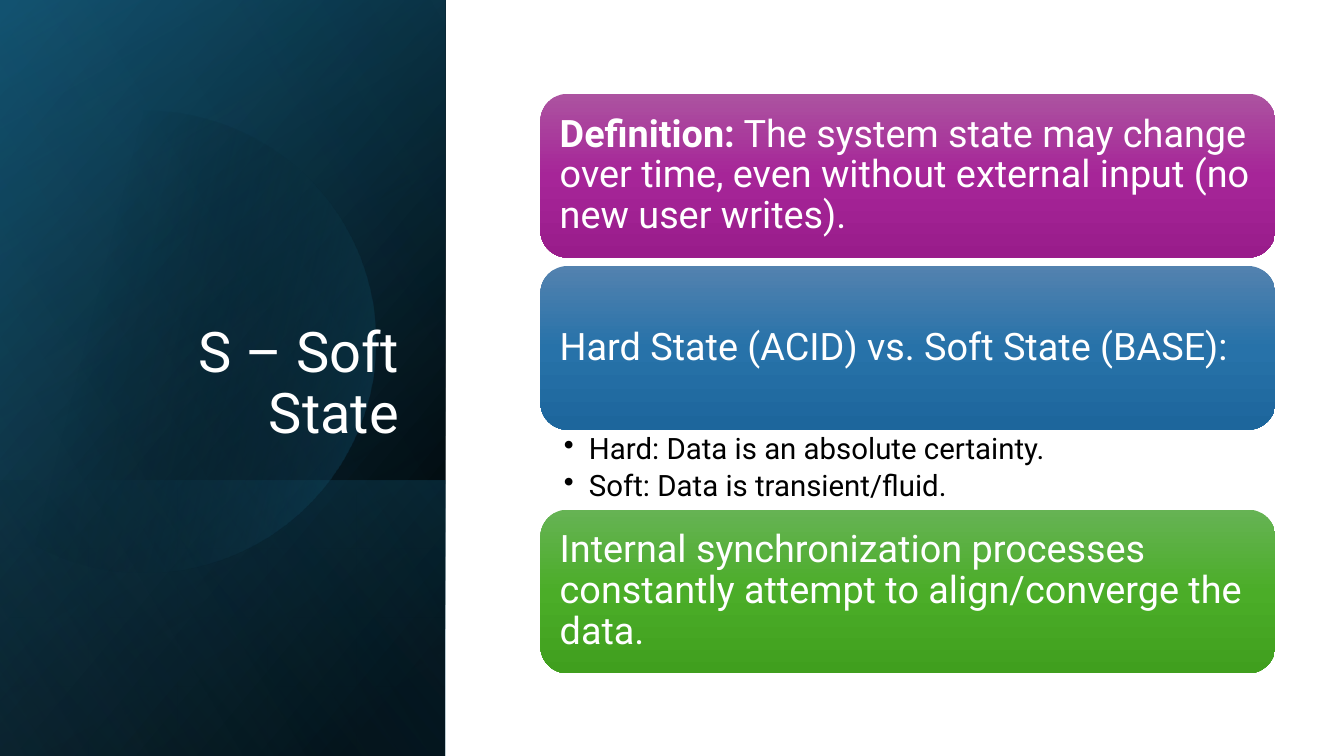
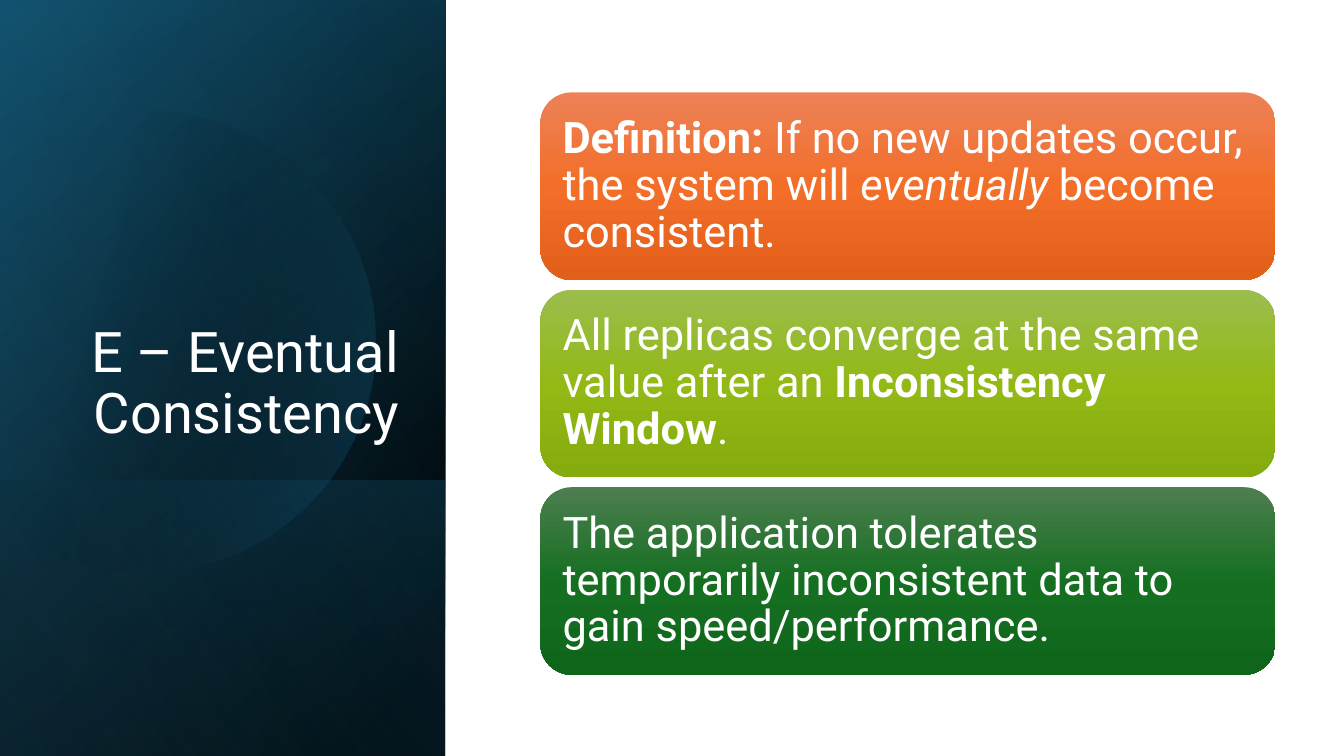
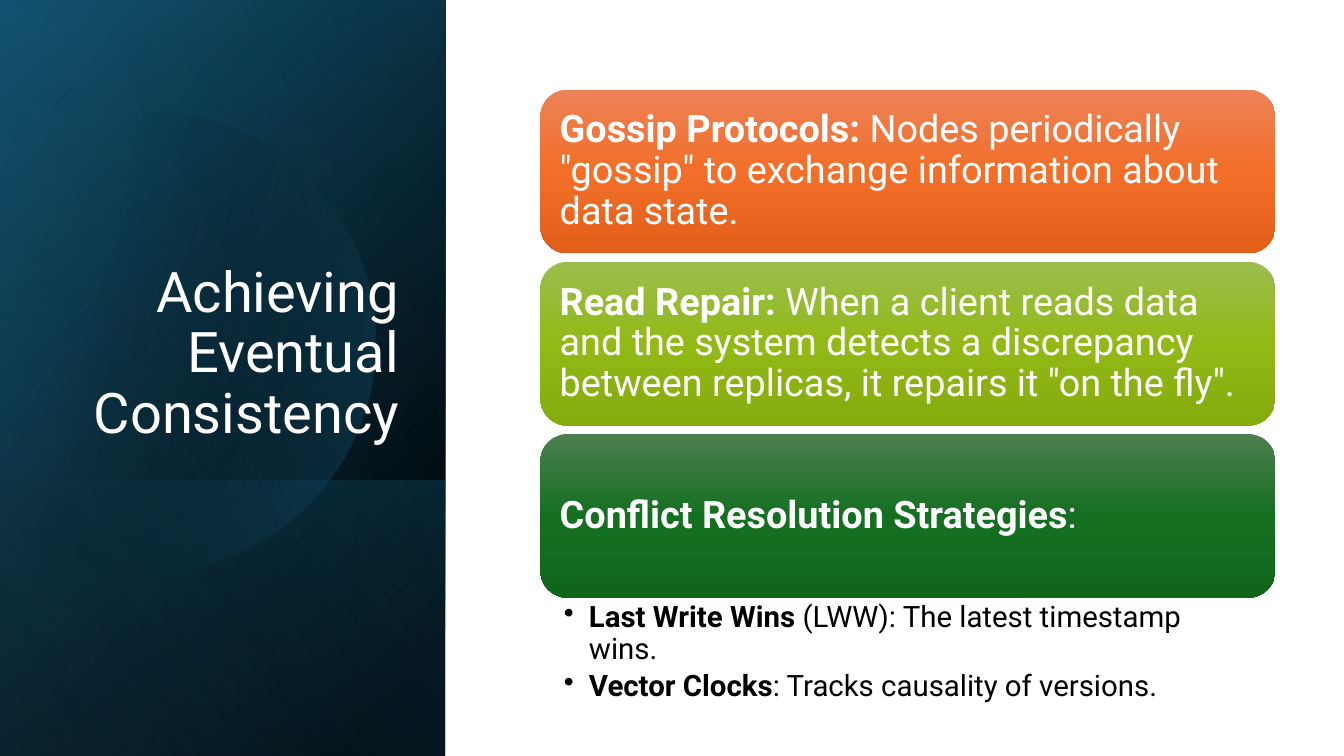
"""Build three slides on soft state and eventual consistency."""
from dataclasses import dataclass
from math import acos, cos, sin

from lxml.etree import SubElement
from pptx import Presentation
from pptx.dml.color import RGBColor
from pptx.enum.shapes import MSO_SHAPE
from pptx.enum.text import MSO_ANCHOR, PP_ALIGN
from pptx.oxml.ns import qn
from pptx.util import Pt


@dataclass(frozen=True)
class Theme:
    font: str = "Roboto"
    white: str = "FFFFFF"
    black: str = "000000"
    head: int = 40
    note: int = 21
    base: tuple = ((8, "000000", 100), (100, "104862", 100))
    tint: tuple = ((0, "000000", 0), (99, "156082", 46))
    foot: tuple = ((2, "156082", 29), (100, "000000", 30))
    disc: tuple = ((29, "000000", 0), (100, "156082", 43))
    glow: tuple = ((0, "000000", 0), (99, "46B1E1", 11))
    plum: tuple = ((0, "AC53A0", 100), (50, "A62598", 100), (100, "991C8B", 100))
    blue: tuple = ((0, "5382AF", 100), (50, "2772A9", 100), (100, "1D669C", 100))
    green: tuple = ((0, "66B354", 100), (50, "4BAD28", 100), (100, "409F1E", 100))
    orange: tuple = ((0, "ED8257", 100), (50, "F26E29", 100), (100, "E25F1A", 100))
    lime: tuple = ((0, "9CBD4E", 100), (50, "92B916", 100), (100, "85AB0D", 100))
    pine: tuple = ((0, "4D7E50", 100), (50, "156F21", 100), (100, "0F661B", 100))


class Deck:
    def __init__(self, theme):
        self.theme = theme
        self.show = Presentation()
        self.show.slide_width, self.show.slide_height = Pt(960), Pt(540)
        self.slide = None

    def paint(self, shape, stops, angle):
        shape.shadow.inherit = False
        shape.line.fill.background()
        shape.fill.gradient()
        shape.fill.gradient_angle = (360 - angle) % 360
        group = shape._element.spPr.find(qn("a:gradFill")).find(qn("a:gsLst"))
        for old in list(group):
            group.remove(old)
        for place, tone, alpha in stops:
            stop = SubElement(group, qn("a:gs"), pos=str(place * 1000))
            color = SubElement(stop, qn("a:srgbClr"), val=tone)
            if alpha < 100:
                SubElement(color, qn("a:alpha"), val=str(alpha * 1000))

    def band(self, top, high, stops, angle, wide=318):
        left, mid = (wide - high) / 2, top + (high - wide) / 2
        shape = self.slide.shapes.add_shape(
            MSO_SHAPE.RECTANGLE, Pt(left), Pt(mid), Pt(high), Pt(wide))
        shape.rotation = 90
        shape._element.spPr.find(qn("a:xfrm")).set("flipH", "1")
        self.paint(shape, stops, angle)

    def disc(self, x=103, y=244, radius=165, steps=120):
        edge = acos(-x / radius)
        turns = [edge * (2 * n / steps - 1) for n in range(steps + 1)]
        spots = [(Pt(x + radius * cos(t)), Pt(y + radius * sin(t))) for t in turns]
        arc = self.slide.shapes.build_freeform(*spots[0], scale=1.0)
        arc.add_line_segments(spots[1:], close=True)
        self.paint(arc.convert_to_shape(), self.theme.disc, 14)

    def fill_in(self, para, parts, size, color):
        para.line_spacing = 0.9
        for text, style in parts:
            run = para.add_run()
            run.text = text
            font = run.font
            font.name, font.size = self.theme.font, Pt(size)
            font.color.rgb = RGBColor.from_string(color)
            font.bold, font.italic = style == "b", style == "i"

    def frame(self, shape, anchor, sides):
        frame = shape.text_frame
        frame.word_wrap = True
        frame.vertical_anchor = anchor
        (frame.margin_left, frame.margin_top,
         frame.margin_right, frame.margin_bottom) = map(Pt, sides)
        return frame

    def title(self, text):
        box = self.slide.shapes.add_textbox(Pt(46), Pt(132.5), Pt(246), Pt(189))
        para = self.frame(box, MSO_ANCHOR.BOTTOM, (7.2, 3.6, 7.2, 3.6)).paragraphs[0]
        para.alignment = PP_ALIGN.RIGHT
        self.fill_in(para, [(text, "")], self.theme.head, self.theme.white)

    def card(self, top, high, size, stops, parts):
        shape = self.slide.shapes.add_shape(
            MSO_SHAPE.ROUNDED_RECTANGLE, Pt(386), Pt(top), Pt(525), Pt(high))
        self.paint(shape, stops, 90)
        para = self.frame(shape, MSO_ANCHOR.MIDDLE, [0.3 * size] * 4).paragraphs[0]
        para.alignment = PP_ALIGN.LEFT
        self.fill_in(para, parts, size, self.theme.white)

    def notes(self, top, high, items):
        box = self.slide.shapes.add_textbox(Pt(386), Pt(top), Pt(525), Pt(high))
        frame = self.frame(box, MSO_ANCHOR.TOP, (16.7, 3, 15, 3))
        for n, parts in enumerate(items):
            para = frame.add_paragraph() if n else frame.paragraphs[0]
            props = para._p.get_or_add_pPr()
            props.set("marL", str(Pt(18)))
            props.set("indent", str(-Pt(18)))
            SubElement(props, qn("a:buChar"), char="•")
            para.space_after = Pt(4)
            self.fill_in(para, parts, self.theme.note, self.theme.black)

    def stack(self, size, cards, center=274, list_high=57):
        high, gap = round(4.33 * size), round(0.23 * size)
        tails = [list_high if items else gap for _, _, items in cards]
        if not cards[-1][2]:
            tails[-1] = 0
        top = center - (high * len(cards) + sum(tails)) / 2
        for (stops, parts, items), tail in zip(cards, tails):
            self.card(top, high, size, stops, parts)
            if items:
                self.notes(top + high, list_high, items)
            top += high + tail

    def page(self, title, size, cards):
        theme = self.theme
        self.slide = self.show.slides.add_slide(self.show.slide_layouts[6])
        self.band(0, 540, theme.base, 50)
        self.band(0, 540, theme.tint, 30)
        self.band(343, 197, theme.foot, 130)
        self.disc()
        self.band(0, 540, theme.glow, 120)
        self.title(title)
        self.stack(size, cards)


def main():
    theme = Theme()
    deck = Deck(theme)
    deck.page("S – Soft State", 27, [
        (theme.plum, [
            ("Definition:", "b"),
            (" The system state may change over time, even without external "
             "input (no new user writes).", "")], []),
        (theme.blue, [("Hard State (ACID) vs. Soft State (BASE):", "")], [
            [("Hard: Data is an absolute certainty.", "")],
            [("Soft: Data is transient/fluid.", "")]]),
        (theme.green, [
            ("Internal synchronization processes constantly attempt to "
             "align/converge the data.", "")], []),
    ])
    deck.page("E – Eventual Consistency", 31, [
        (theme.orange, [
            ("Definition:", "b"),
            (" If no new updates occur, the system will ", ""),
            ("eventually", "i"),
            (" become consistent.", "")], []),
        (theme.lime, [
            ("All replicas converge at the same value after an ", ""),
            ("Inconsistency Window", "b"),
            (".", "")], []),
        (theme.pine, [
            ("The application tolerates temporarily inconsistent data to gain "
             "speed/performance.", "")], []),
    ])
    deck.page("Achieving Eventual Consistency", 27, [
        (theme.orange, [
            ("Gossip Protocols:", "b"),
            (' Nodes periodically "gossip" to exchange information about data '
             'state.', "")], []),
        (theme.lime, [
            ("Read Repair:", "b"),
            (" When a client reads data and the system detects a discrepancy "
             'between replicas, it repairs it "on the fly".', "")], []),
        (theme.pine, [("Conflict Resolution Strategies", "b"), (":", "")], [
            [("Last Write Wins ", "b"), ("(LWW): The latest timestamp wins.", "")],
            [("Vector Clocks", "b"), (": Tracks causality of versions.", "")]]),
    ])
    deck.show.save("out.pptx")


if __name__ == "__main__":
    main()
